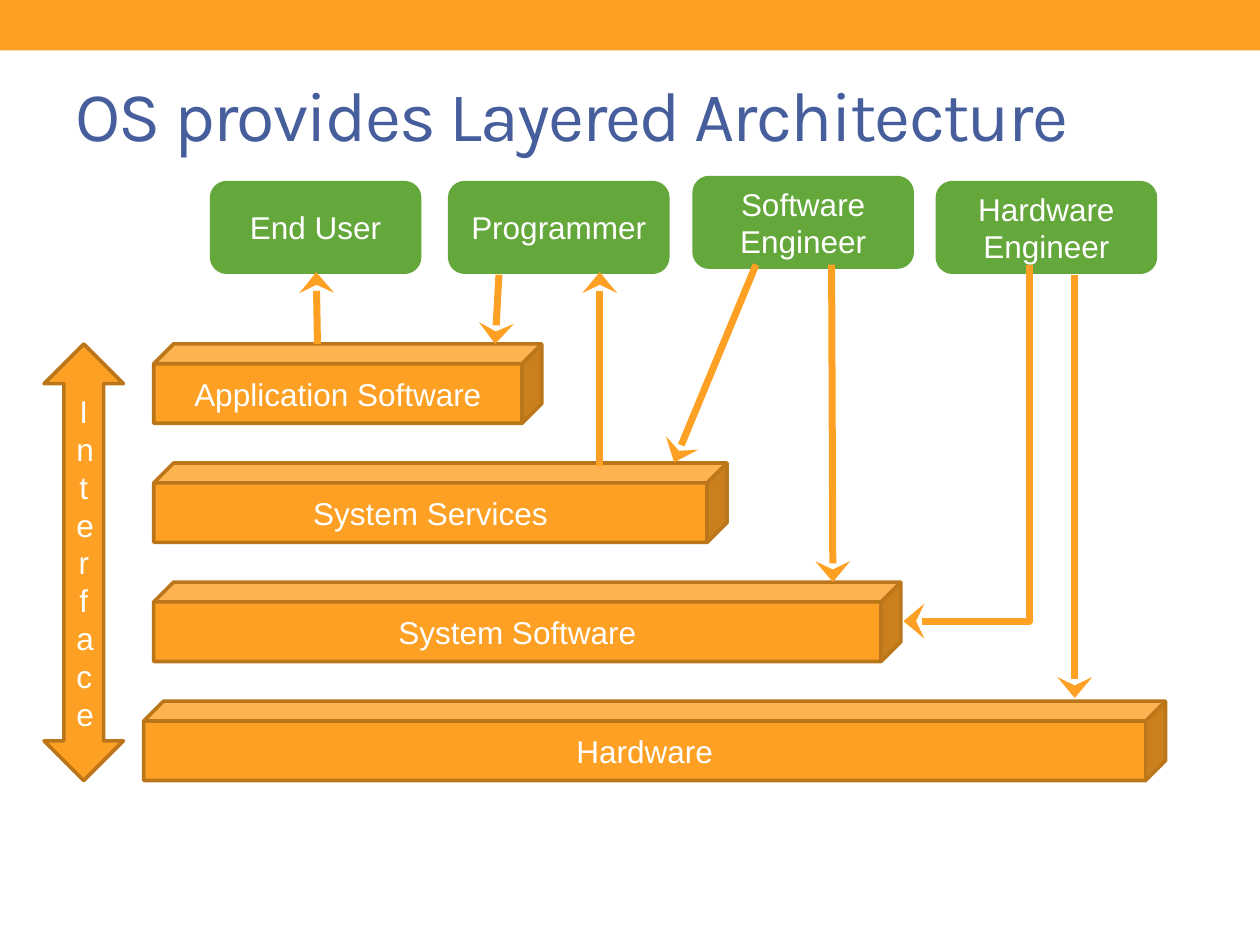
from lxml.etree import SubElement
from pptx import Presentation
from pptx.dml.color import RGBColor
from pptx.enum.shapes import MSO_CONNECTOR, MSO_SHAPE
from pptx.enum.text import MSO_ANCHOR, PP_ALIGN
from pptx.oxml.ns import qn
from pptx.util import Inches, Pt

ORANGE, BROWN, GREEN = "FDA023", "BB761A", "64A73B"
WHITE, BLUE = "FFFFFF", "465E9C"

BAR_HEIGHT = 0.63
BAR_STEP = BAR_HEIGHT * 1.5
STACK_TOP = 2.73

# Layers from top to bottom: label, left, width
LAYERS = [
    ("Application Software", 1.22, 3.08),
    ("System Services", 1.22, 4.55),
    ("System Software", 1.22, 5.93),
    ("Hardware", 1.14, 8.11),
]

# Roles: label, left, top, width
ROLES = [
    ("End User", 1.68, 1.45, 1.65),
    ("Programmer", 3.57, 1.45, 1.73),
    ("Software\vEngineer", 5.51, 1.41, 1.73),
    ("Hardware\vEngineer", 7.44, 1.45, 1.73),
]

# Straight arrows between roles and layers: start x, y, end x, y
ARROWS = [
    (2.52, 2.73, 2.51, 2.16),
    (3.96, 2.18, 3.93, 2.73),
    (4.76, 3.7, 4.76, 2.16),
    (6, 2.1, 5.35, 3.67),
    (6.6, 2.1, 6.61, 4.62),
    (8.53, 2.18, 8.53, 5.54),
]


def color(value):
    return RGBColor.from_string(value)


def apply_format(target, values):
    for name, value in values.items():
        setattr(target, name, value)


def write_text(shape, text, font, anchor, alignment):
    frame = shape.text_frame
    apply_format(frame, {"word_wrap": True, "vertical_anchor": anchor})
    frame.text = text
    paragraph = frame.paragraphs[0]
    paragraph.alignment = alignment
    for run in paragraph.runs:
        apply_format(run.font, {"name": font["name"], "size": Pt(font["size"])})
        run.font.color.rgb = color(font["color"])
    return paragraph


def add_block(slide, kind, box, fill, outline=None, text=None):
    shape = slide.shapes.add_shape(kind, *map(Inches, box))
    shape.shadow.inherit = False
    shape.fill.solid()
    shape.fill.fore_color.rgb = color(fill)
    if outline:
        shape.line.color.rgb = color(outline)
        shape.line.width = Pt(2.08)
    else:
        shape.line.fill.background()
    if text:
        font = {"name": "Arial", "size": 18, "color": WHITE}
        write_text(shape, text, font, MSO_ANCHOR.MIDDLE, PP_ALIGN.CENTER)


def add_arrow(slide, points, kind=MSO_CONNECTOR.STRAIGHT):
    arrow = slide.shapes.add_connector(kind, *map(Inches, points))
    arrow.line.color.rgb = color(ORANGE)
    arrow.line.width = Pt(4)
    properties = arrow.line._get_or_add_ln()
    SubElement(properties, qn("a:tailEnd"), type="stealth", w="lg", len="med")
    SubElement(arrow._element.spPr, qn("a:effectLst"))
    return arrow


def add_corner_arrow(slide, start, end):
    """One-bend arrow that runs down from start, then left to end."""
    across, down = start[0] - end[0], end[1] - start[1]
    middle_x, middle_y = (start[0] + end[0]) / 2, (start[1] + end[1]) / 2
    # The frame lies on its side and is turned by a quarter
    points = (middle_x - down / 2, middle_y - across / 2,
              middle_x + down / 2, middle_y + across / 2)
    arrow = add_arrow(slide, points, MSO_CONNECTOR.ELBOW)
    properties = arrow._element.spPr
    properties.find(qn("a:prstGeom")).set("prst", "bentConnector2")
    properties.find(qn("a:xfrm")).set("rot", str(90 * 60000))


def add_title(slide, text):
    box = slide.shapes.add_textbox(*map(Inches, (0.5, 0.52, 9, 1.08)))
    font = {"name": "Karla", "size": 40, "color": BLUE}
    paragraph = write_text(box, text, font, MSO_ANCHOR.TOP, PP_ALIGN.LEFT)
    paragraph.runs[0].font._element.set("spc", "-100")


def main():
    presentation = Presentation()
    apply_format(presentation, {"slide_width": Inches(10),
                                "slide_height": Inches(7.5)})
    slide = presentation.slides.add_slide(presentation.slide_layouts[6])

    # Header band and title
    add_block(slide, MSO_SHAPE.RECTANGLE, (0, 0, 10, 0.4), ORANGE)
    add_title(slide, "OS provides Layered Architecture")

    # Stack of layers with the interface arrow beside it
    for index, (label, left, width) in enumerate(LAYERS):
        box = (left, STACK_TOP + index * BAR_STEP, width, BAR_HEIGHT)
        add_block(slide, MSO_SHAPE.CUBE, box, ORANGE, BROWN, label)
    stack_height = (len(LAYERS) - 1) * BAR_STEP + BAR_HEIGHT
    add_block(slide, MSO_SHAPE.UP_DOWN_ARROW,
              (0.35, STACK_TOP, 0.63, stack_height), ORANGE, BROWN, "Interface")

    # Roles
    for label, left, top, width in ROLES:
        add_block(slide, MSO_SHAPE.ROUNDED_RECTANGLE,
                  (left, top, width, 0.71), GREEN, GREEN, label)

    # Arrows
    for points in ARROWS:
        add_arrow(slide, points)
    add_corner_arrow(slide, (8.17, 2.1), (7.17, 4.93))

    presentation.save("out.pptx")


if __name__ == "__main__":
    main()
